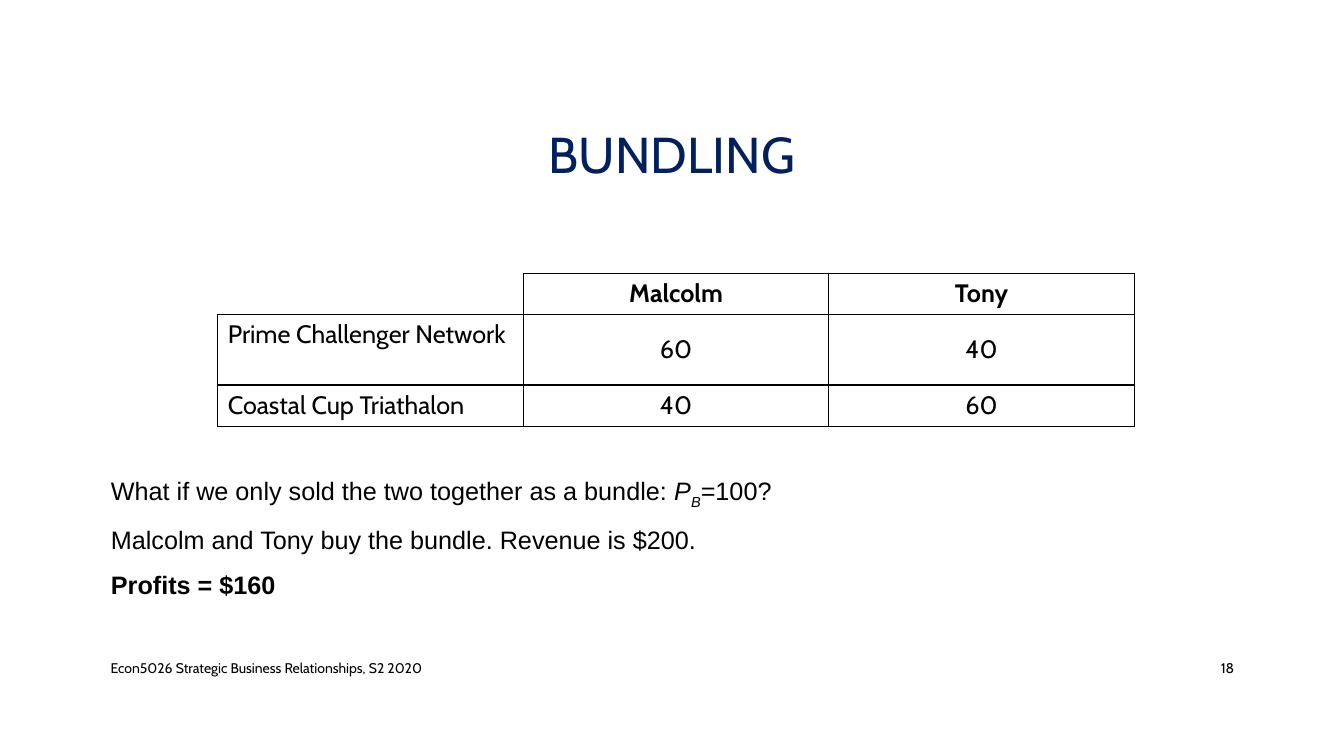
from lxml import etree
from pptx import Presentation
from pptx.dml.color import RGBColor
from pptx.enum import text
from pptx.oxml.ns import qn
from pptx.util import Inches, Pt

NAVY = RGBColor(0x00, 0x20, 0x60)
BLACK = RGBColor(0x00, 0x00, 0x00)
LEFT, CENTER, RIGHT = text.PP_ALIGN.LEFT, text.PP_ALIGN.CENTER, text.PP_ALIGN.RIGHT
TOP, MIDDLE = text.MSO_ANCHOR.TOP, text.MSO_ANCHOR.MIDDLE


def add_run(p, words, size, font="Cabin", color=BLACK, **formats):
    r = p.add_run()
    r.text = words
    r.font.color.rgb = color
    for name, value in {"size": Pt(size), "name": font, **formats}.items():
        setattr(r.font, name, value)
    return r


def add_border(cell, side, visible):
    ln = etree.SubElement(cell._tc.get_or_add_tcPr(), qn(f"a:ln{side}"), w=str(Pt(1)))
    if visible:
        fill = etree.SubElement(ln, qn("a:solidFill"))
        etree.SubElement(fill, qn("a:srgbClr"), val=str(BLACK))
    else:
        etree.SubElement(ln, qn("a:noFill"))


prs = Presentation()
prs.slide_width, prs.slide_height = Inches(13.33), Inches(7.5)
s = prs.slides.add_slide(prs.slide_layouts[1])

# Title
title = s.shapes.title
title.left, title.top, title.width, title.height = map(Inches, (1, 0.68, 11.33, 1.75))
tf = title.text_frame
tf.vertical_anchor = MIDDLE
p = tf.paragraphs[0]
p.alignment, p.line_spacing = CENTER, 0.9
add_run(p, "BUNDLING", 36, color=NAVY)

# Valuations table
rows = [
    ["", "Malcolm", "Tony"],
    ["Prime Challenger Network", "60", "40"],
    ["Coastal Cup Triathalon", "40", "60"],
]
frame = s.shapes.add_table(3, 3, *map(Inches, (2.16, 2.71, 9.09, 1.52)))
table = frame.table
table.first_row = table.horz_banding = False
for col in table.columns:
    col.width = Inches(3.03)
for row, height in zip(table.rows, (0.41, 0.7, 0.41)):
    row.height = Inches(height)
for i, row in enumerate(rows):
    for j, words in enumerate(row):
        cell = table.cell(i, j)
        for side in "LRTB":
            add_border(cell, side, i + j > 0 or side in "RB")
        cell.fill.background()
        cell.vertical_anchor = MIDDLE if i and j else TOP
        p = cell.text_frame.paragraphs[0]
        p.alignment = CENTER if j else LEFT
        if words:
            add_run(p, words, 18, bold=i == 0)

# Question and answer
body = s.placeholders[1]
body.left, body.top, body.width, body.height = map(Inches, (1, 4.6, 11.33, 1.73))
tf = body.text_frame
tf.vertical_anchor = TOP
lines = [
    [
        ("What if we only sold the two together as a bundle: ", {}),
        ("P", {"italic": True}),
        ("B", {"italic": True}),
        ("=100?", {}),
    ],
    [("Malcolm and Tony buy the bundle. Revenue is $200.", {})],
    [("Profits = $160", {"bold": True})],
]
for i, line in enumerate(lines):
    p = tf.add_paragraph() if i else tf.paragraphs[0]
    pPr = p._p.get_or_add_pPr()
    pPr.set("marL", "0")
    pPr.set("indent", "0")
    etree.SubElement(pPr, qn("a:buNone"))
    p.alignment, p.line_spacing = LEFT, 1.2
    p.space_before = Pt(6 if i else 0)
    for words, formats in line:
        r = add_run(p, words, 18, font="Arial", **formats)
        if words == "B":
            r.font._element.set("baseline", "-25000")

# Footer and slide number
for words, left, width, align in [
    ("Econ5026 Strategic Business Relationships, S2 2020", 1, 7.3, LEFT),
    ("18", 11.5, 0.84, RIGHT),
]:
    tf = s.shapes.add_textbox(*map(Inches, (left, 6.43, width, 0.4))).text_frame
    tf.word_wrap, tf.vertical_anchor = True, MIDDLE
    p = tf.paragraphs[0]
    p.alignment = align
    add_run(p, words, 10)

prs.save("out.pptx")
